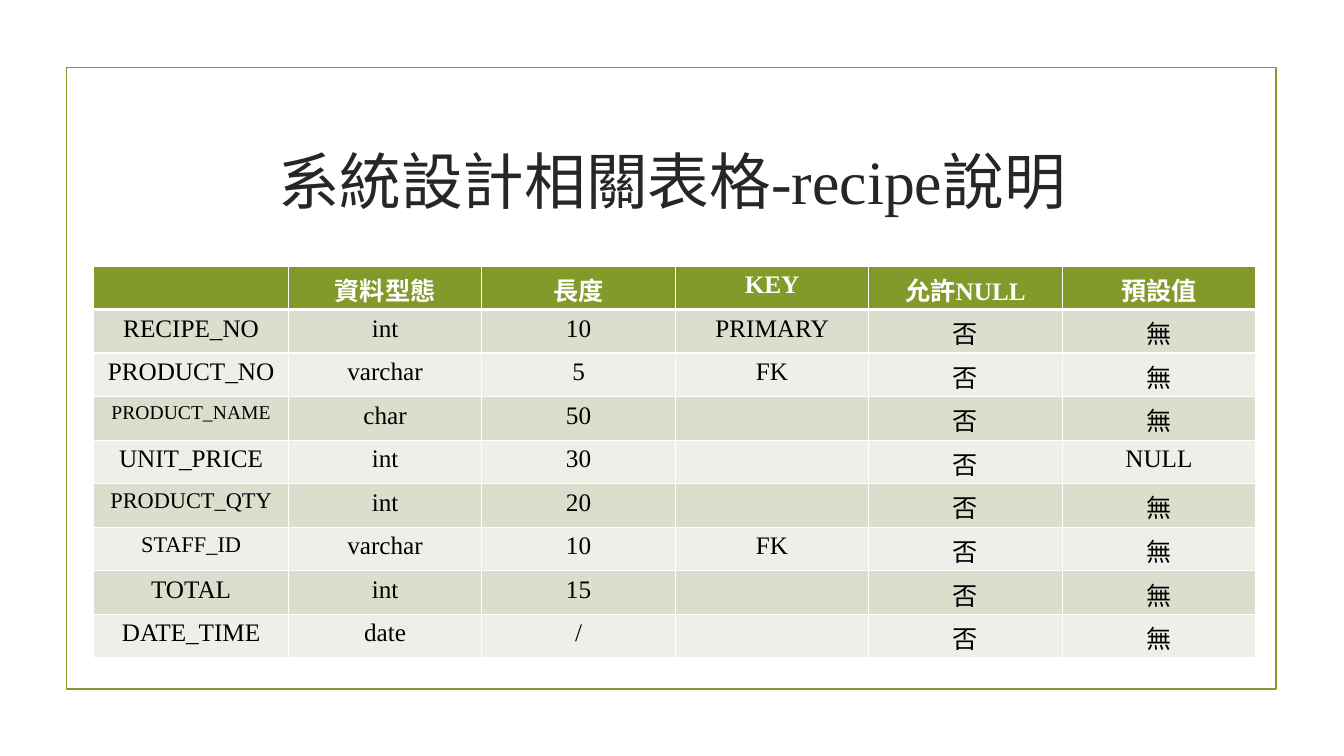
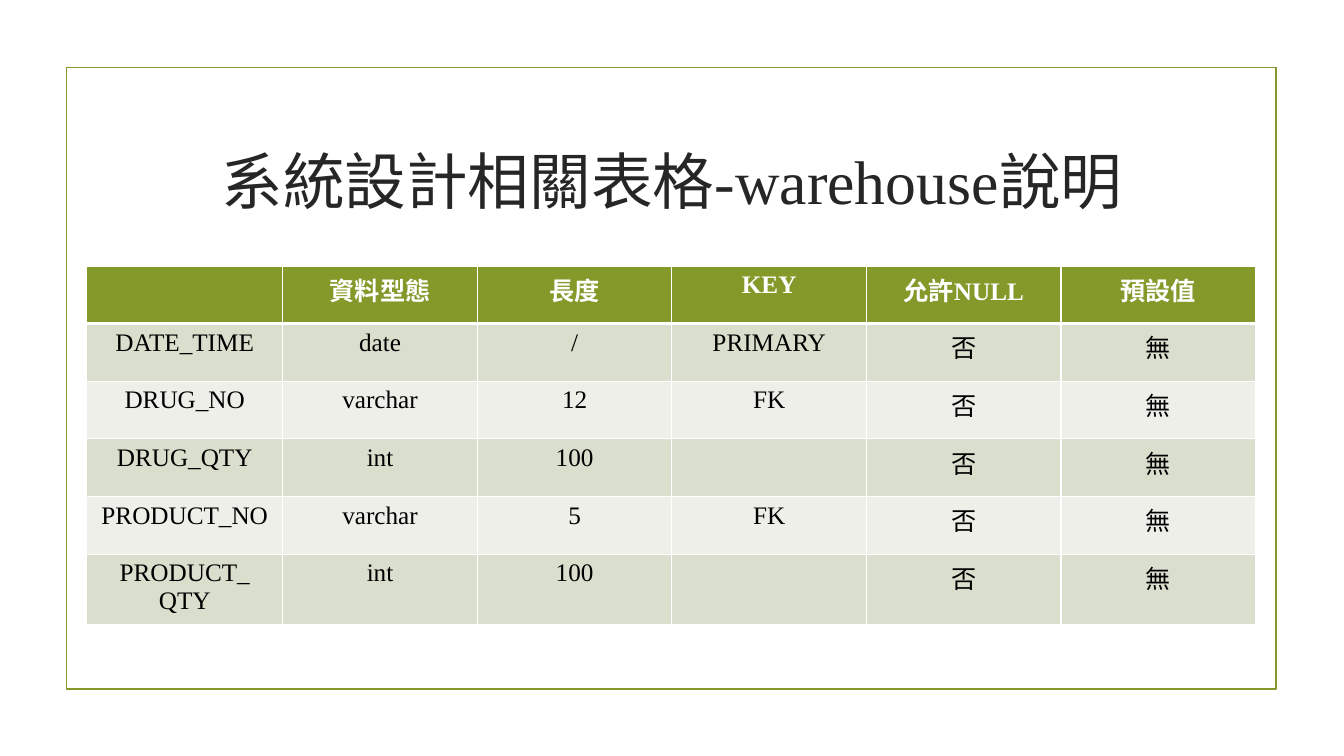
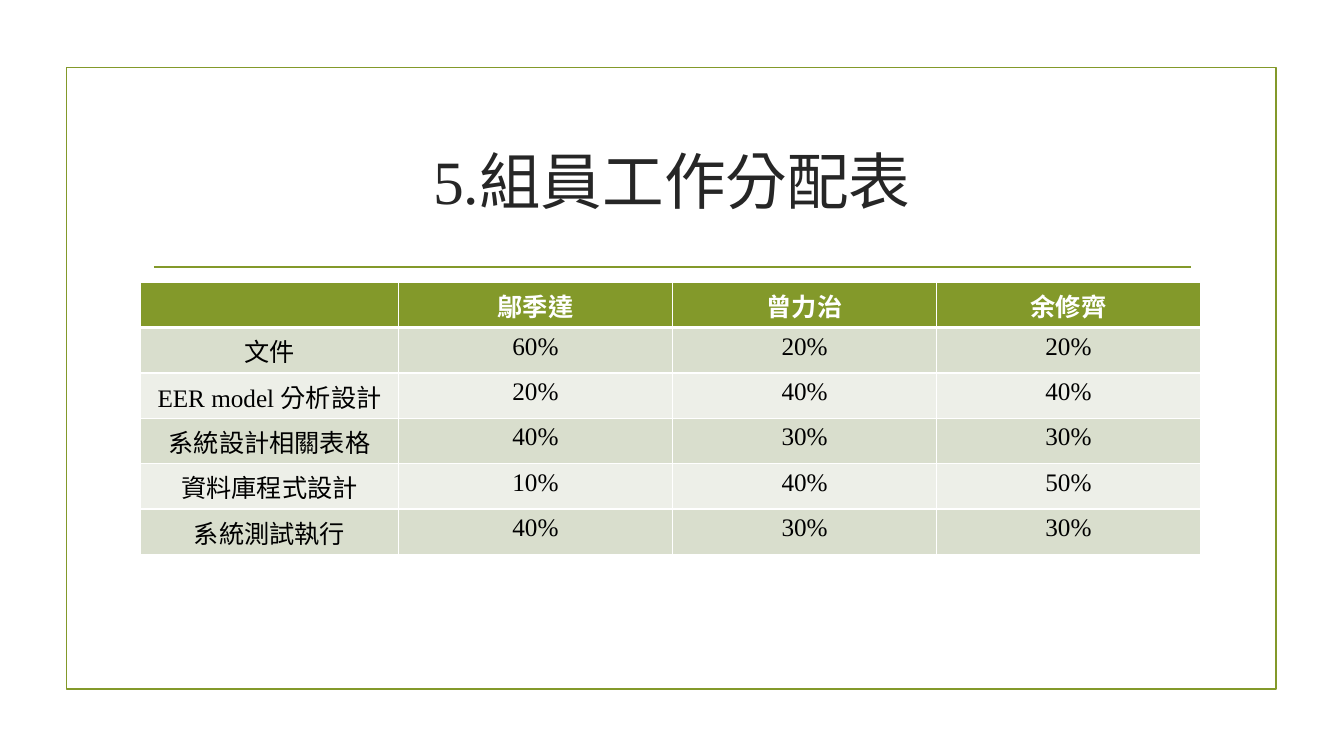
import dataclasses

import lxml.etree
import pptx
import pptx.dml.color
import pptx.enum.lang
import pptx.enum.shapes
import pptx.enum.text
import pptx.oxml.ns
import pptx.util

Pt = pptx.util.Pt


@dataclasses.dataclass(frozen=True)
class Box:
    """A rectangle in points."""

    left: float
    top: float
    width: float
    height: float

    def lengths(self):
        """Return the four sides as lengths."""
        return [Pt(value) for value in (self.left, self.top, self.width, self.height)]


@dataclasses.dataclass(frozen=True)
class Theme:
    """Colours, font and sizes that the slides share."""

    accent: str = "83992A"
    title: str = "262626"
    body: str = "000000"
    white: str = "FFFFFF"
    bands: tuple = ("D9DECD", "EDEFE8")
    font: str = "Times New Roman"
    title_size: float = 44
    body_size: float = 18
    small_size: float = 16
    tiny_size: float = 14
    outline: float = 1.25
    grid: float = 1
    header_rule: float = 3


THEME = Theme()
SLIDE = Box(0, 0, 960, 540)
FRAME = Box(47.5, 48.25, 864, 444)
FIELD_HEADINGS = ["", "資料型態", "長度", "KEY", "允許NULL", "預設值"]

RECIPE_ROWS = [
    FIELD_HEADINGS,
    ["RECIPE_NO", "int", "10", "PRIMARY", "否", "無"],
    ["PRODUCT_NO", "varchar", "5", "FK", "否", "無"],
    ["PRODUCT_NAME", "char", "50", "", "否", "無"],
    ["UNIT_PRICE", "int", "30", "", "否", "NULL"],
    ["PRODUCT_QTY", "int", "20", "", "否", "無"],
    ["STAFF_ID", "varchar", "10", "FK", "否", "無"],
    ["TOTAL", "int", "15", "", "否", "無"],
    ["DATE_TIME", "date", "/", "", "否", "無"],
]
RECIPE_SIZES = {
    "PRODUCT_NAME": THEME.tiny_size,
    "PRODUCT_QTY": THEME.small_size,
    "STAFF_ID": THEME.small_size,
}
WAREHOUSE_ROWS = [
    FIELD_HEADINGS,
    ["DATE_TIME", "date", "/", "PRIMARY", "否", "無"],
    ["DRUG_NO", "varchar", "12", "FK", "否", "無"],
    ["DRUG_QTY", "int", "100", "", "否", "無"],
    ["PRODUCT_NO", "varchar", "5", "FK", "否", "無"],
    ["PRODUCT_\nQTY", "int", "100", "", "否", "無"],
]
WORK_ROWS = [
    ["", "鄔季達", "曾力治", "余修齊"],
    ["文件", "60%", "20%", "20%"],
    ["EER model 分析設計", "20%", "40%", "40%"],
    ["系統設計相關表格", "40%", "30%", "30%"],
    ["資料庫程式設計", "10%", "40%", "50%"],
    ["系統測試執行", "40%", "30%", "30%"],
]


def rgb(code):
    """Turn a hex code into a colour."""
    return pptx.dml.color.RGBColor.from_string(code)


def write_text(frame, text, size, color, bold=False):
    """Fill a text frame with centred text in the shared font."""
    frame.text = text
    values = {
        "name": THEME.font,
        "size": Pt(size),
        "bold": bold,
        "language_id": pptx.enum.lang.MSO_LANGUAGE_ID.TRADITIONAL_CHINESE,
    }
    for para in frame.paragraphs:
        para.alignment = pptx.enum.text.PP_ALIGN.CENTER
        for span in para.runs:
            for name, value in values.items():
                setattr(span.font, name, value)
            span.font.color.rgb = rgb(color)


def draw_line_style(line):
    """Give a line the accent colour and shared width."""
    line.color.rgb = rgb(THEME.accent)
    line.width = Pt(THEME.outline)


def add_frame(page, box):
    """Draw the outlined frame and the rule beneath the title."""
    outline = page.shapes.add_shape(
        pptx.enum.shapes.MSO_SHAPE.RECTANGLE, *box.lengths()
    )
    outline.shadow.inherit = False
    outline.fill.background()
    draw_line_style(outline.line)
    rule_y = Pt(box.top + 142.5)
    rule = page.shapes.add_connector(
        pptx.enum.shapes.MSO_CONNECTOR.STRAIGHT,
        Pt(box.left + 62.5), rule_y, Pt(box.left + box.width - 61), rule_y,
    )
    draw_line_style(rule.line)
    properties = rule.element.find(pptx.oxml.ns.qn("p:spPr"))
    lxml.etree.SubElement(properties, pptx.oxml.ns.qn("a:effectLst"))


def add_title(page, box, text):
    """Write the slide title in the upper part of the frame."""
    place = Box(box.left + 54.5, box.top + 28.75, box.width - 108, 103)
    frame = page.shapes.add_textbox(*place.lengths()).text_frame
    frame.word_wrap = True
    frame.vertical_anchor = pptx.enum.text.MSO_ANCHOR.MIDDLE
    write_text(frame, text, THEME.title_size, THEME.title)


def add_borders(cell, widths):
    """Draw white borders of the given widths around a cell."""
    qn = pptx.oxml.ns.qn
    properties = cell._tc.get_or_add_tcPr()
    for side, width in widths.items():
        edge = lxml.etree.SubElement(properties, qn(f"a:ln{side}"), w=str(int(Pt(width))))
        fill = lxml.etree.SubElement(edge, qn("a:solidFill"))
        lxml.etree.SubElement(fill, qn("a:srgbClr"), val=THEME.white)


def style_cell(cell, text, row_index, size):
    """Write and colour a cell according to its row."""
    header = row_index == 0
    widths = dict.fromkeys("LRTB", THEME.grid)
    if header:
        widths["B"] = THEME.header_rule
    elif row_index == 1:
        widths["T"] = THEME.header_rule
    add_borders(cell, widths)
    cell.fill.solid()
    cell.fill.fore_color.rgb = rgb(
        THEME.accent if header else THEME.bands[(row_index - 1) % 2]
    )
    if text:
        write_text(cell.text_frame, text, size, THEME.white if header else THEME.body, header)


def add_grid(page, box, rows, widths, sizes):
    """Place a banded table in the box, with equal row heights."""
    table = page.shapes.add_table(len(rows), len(widths), *box.lengths()).table
    for column, width in zip(table.columns, widths):
        column.width = Pt(width)
    for row_index, texts in enumerate(rows):
        table.rows[row_index].height = Pt(box.height / len(rows))
        for column_index, text in enumerate(texts):
            style_cell(
                table.cell(row_index, column_index), text, row_index,
                sizes.get(text, THEME.body_size),
            )


def add_table_slide(deck, title, rows, corner, widths, height, sizes):
    """Build one slide with a frame, a title and a table."""
    page = deck.slides.add_slide(deck.slide_layouts[6])
    add_frame(page, FRAME)
    add_title(page, FRAME, title)
    left, top = corner
    add_grid(page, Box(left, top, sum(widths), height), rows, widths, sizes)


def main():
    """Build and save the deck."""
    deck = pptx.Presentation()
    deck.slide_width, deck.slide_height = SLIDE.lengths()[2:]
    add_table_slide(
        deck, "系統設計相關表格-recipe說明", RECIPE_ROWS,
        (67, 190), [139] + [138.2] * 5, 280, RECIPE_SIZES,
    )
    add_table_slide(
        deck, "系統設計相關表格-warehouse說明", WAREHOUSE_ROWS,
        (62, 190), [140] + [139] * 5, 247, {},
    )
    add_table_slide(
        deck, "5.組員工作分配表", WORK_ROWS,
        (100.5, 201.6), [184, 196, 188.5, 188.5], 194.4, {},
    )
    deck.save("out.pptx")


if __name__ == "__main__":
    main()
